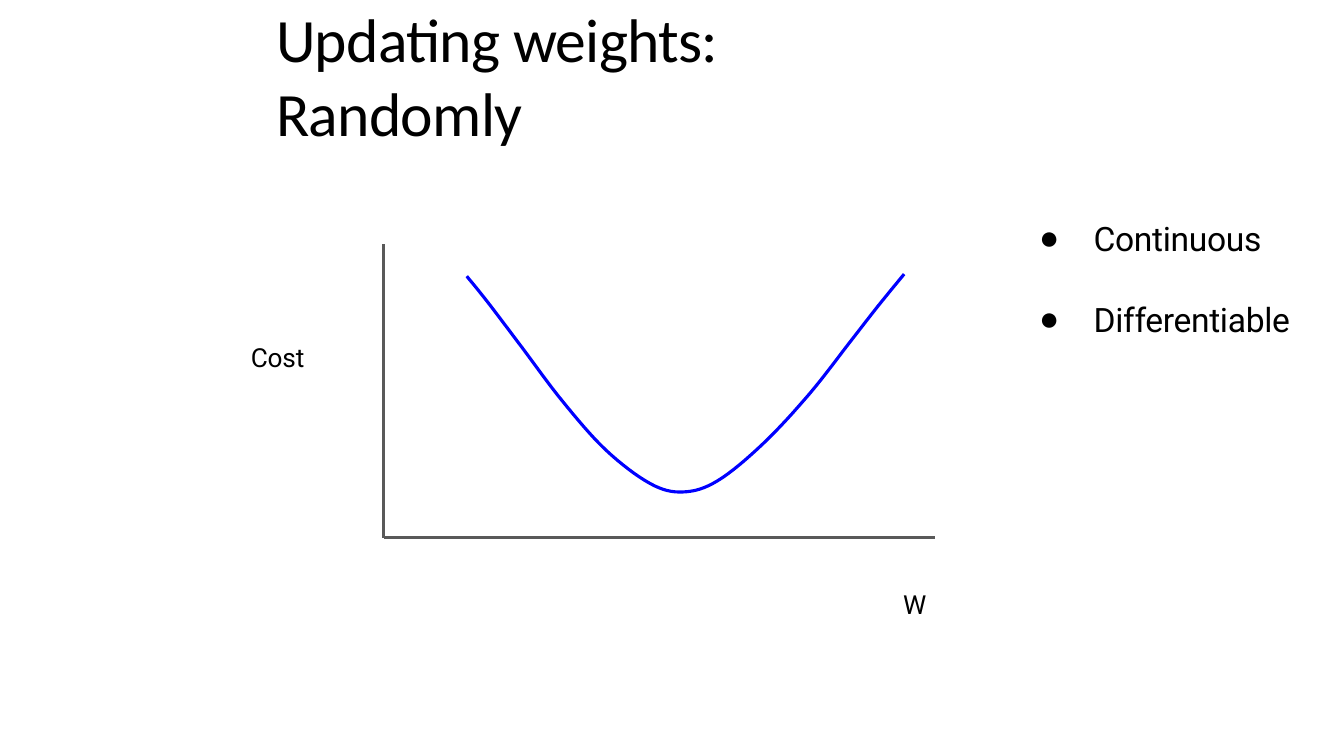
from lxml import etree
from pptx import Presentation
from pptx.dml.color import RGBColor
from pptx.enum.shapes import MSO_CONNECTOR as CONN
from pptx.enum.text import MSO_ANCHOR as ANCHOR, MSO_AUTO_SIZE as AUTO, PP_ALIGN as ALIGN
from pptx.oxml.ns import qn
from pptx.util import Pt

BLACK = RGBColor(0x00, 0x00, 0x00)
GREY = RGBColor(0x59, 0x59, 0x59)
BLUE = RGBColor(0x00, 0x00, 0xFF)

LINE_WIDTH = 2.25
ORIGIN = (274, 384)
COST_AXIS_TOP = (274, 174)
WEIGHT_AXIS_END = (668, 384)

COST_KNOTS = [
    (333.4, 197.3), (348.5, 216), (373, 248.4), (401.8, 286.6), (432.7, 321.4),
    (464.4, 345.4), (488, 351.4), (512.6, 343.4), (545, 317), (578.2, 281.3),
    (607.7, 243.6), (627.1, 218.7), (645.8, 195.8),
]
STEPS = 8


def set_frame(s, left, top, width, height, inset_top):
    """Place a text shape and return its text frame, with no inset but the top one."""
    box = dict(left=left, top=top, width=width, height=height)
    for name, value in box.items():
        setattr(s, name, Pt(value))
    tf = s.text_frame
    frame = dict(margin_left=0, margin_top=Pt(inset_top), margin_right=0, margin_bottom=0,
                 word_wrap=True, auto_size=AUTO.NONE, vertical_anchor=ANCHOR.TOP)
    for name, value in frame.items():
        setattr(tf, name, value)
    return tf


def write(p, text, font, size, tracking=0, before=0):
    p.alignment = ALIGN.LEFT
    p.space_before = Pt(before)
    r = p.add_run()
    r.text = text
    r.font.name, r.font.size = font, Pt(size)
    r.font.color.rgb = BLACK
    if tracking:
        r.font._element.set("spc", str(round(tracking * 100)))


def set_indent(p, left, first=0):
    pPr = p._p.get_or_add_pPr()
    pPr.set("marL", str(Pt(left)))
    pPr.set("indent", str(Pt(first)))
    return pPr


def add_title(slide, text):
    tf = set_frame(slide.shapes.title, 195.8, 25.2, 494, 54.7, 1.4)
    tf.vertical_anchor = ANCHOR.MIDDLE
    p = tf.paragraphs[0]
    set_indent(p, 1.4)
    write(p, text, "Calibri", 44, -0.5)


def add_bullets(slide, items):
    tf = set_frame(slide.placeholders[1], 741.6, 154.1, 184.3, 88.6, 1.4)
    for i, item in enumerate(items):
        p = tf.add_paragraph() if i else tf.paragraphs[0]
        pPr = set_indent(p, 39.6, -38.9)
        etree.SubElement(pPr, qn("a:buChar")).set("char", "●")
        write(p, item, "Roboto", 24, -0.25, before=29.2 if i else 0)


def add_label(slide, text, left, top, width, height, inset_top=0, tracking=0):
    s = slide.shapes.add_textbox(0, 0, 0, 0)
    tf = set_frame(s, left, top, width, height, inset_top)
    p = tf.paragraphs[0]
    set_indent(p, 1.4)
    write(p, text, "Roboto", 18.7, tracking)


def set_line(s, color):
    s.line.color.rgb = color
    s.line.width = Pt(LINE_WIDTH)


def add_axis(slide, start, end):
    s = slide.shapes.add_connector(CONN.STRAIGHT, *map(Pt, start + end))
    set_line(s, GREY)
    etree.SubElement(s._element.spPr, qn("a:effectLst"))


def smooth(knots):
    """Return points on a Catmull-Rom spline through the knots."""
    padded = [knots[0], *knots, knots[-1]]
    points = []
    for quad in zip(padded, padded[1:], padded[2:], padded[3:]):
        for step in range(STEPS):
            t = step / STEPS
            points.append(tuple(
                b + t * (c - a + t * (2 * a - 5 * b + 4 * c - d + t * (3 * b - a - 3 * c + d))) / 2
                for a, b, c, d in zip(*quad)))
    return points + [knots[-1]]


def add_curve(slide, knots, color):
    start, *rest = [(Pt(x), Pt(y)) for x, y in smooth(knots)]
    builder = slide.shapes.build_freeform(*start)
    builder.add_line_segments(rest, close=False)
    s = builder.convert_to_shape()
    s.fill.background()
    s.shadow.inherit = False
    set_line(s, color)


def main():
    prs = Presentation()
    prs.slide_width, prs.slide_height = Pt(960), Pt(540)
    slide = prs.slides.add_slide(prs.slide_layouts[1])

    add_axis(slide, ORIGIN, COST_AXIS_TOP)
    add_axis(slide, ORIGIN, WEIGHT_AXIS_END)
    add_curve(slide, COST_KNOTS, BLUE)
    add_label(slide, "Cost", 177.8, 242.6, 41, 23.8, inset_top=1.4, tracking=-0.1)
    add_label(slide, "W", 643.7, 420, 20.2, 22.3)
    add_title(slide, "Updating weights: Randomly")
    add_bullets(slide, ["Continuous", "Differentiable"])

    prs.save("out.pptx")


if __name__ == "__main__":
    main()
